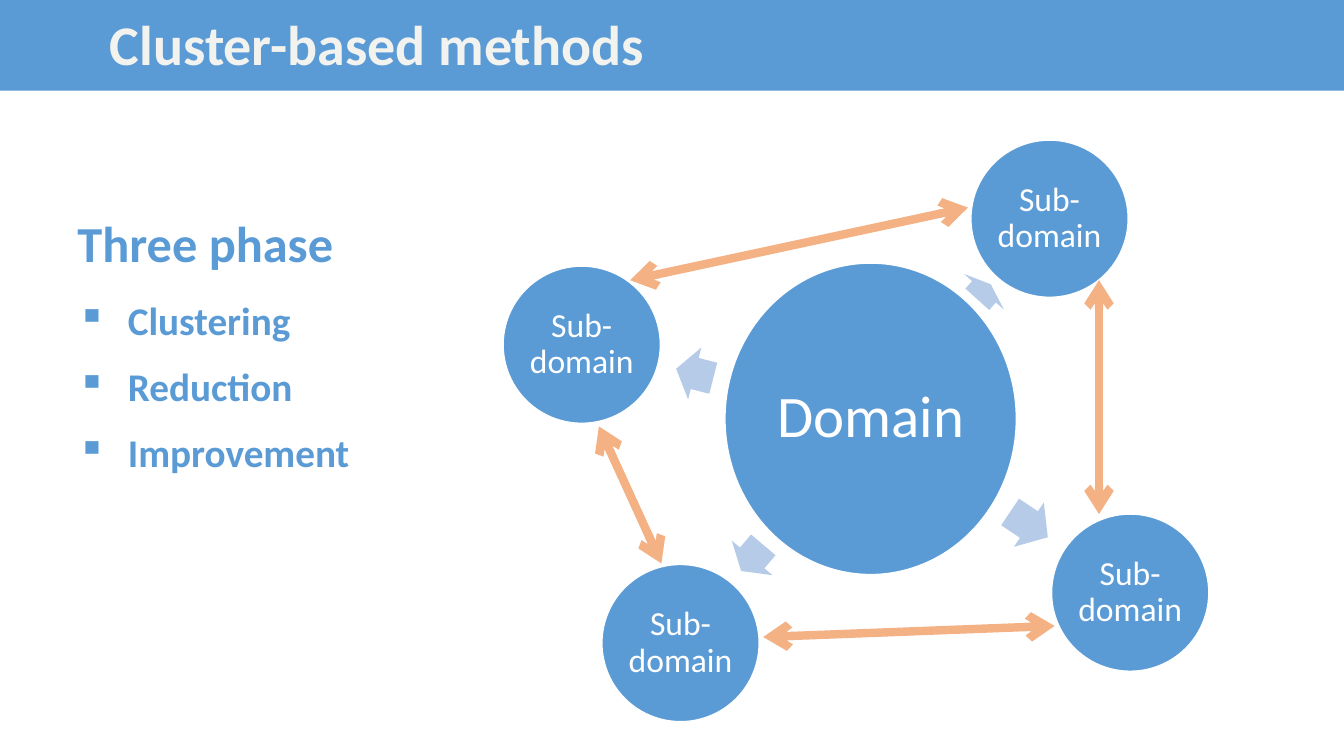
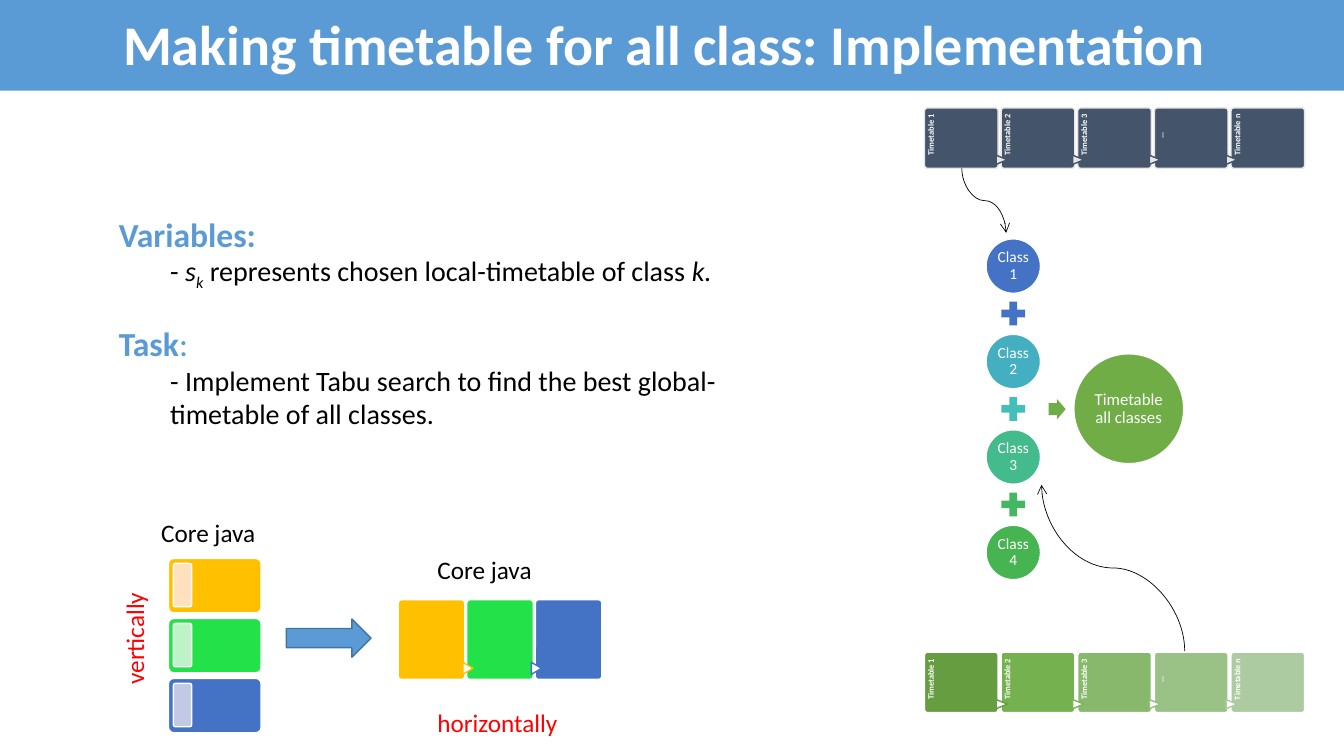
from dataclasses import dataclass

from lxml.etree import SubElement
from pptx import Presentation
from pptx.dml.color import RGBColor
from pptx.enum.shapes import MSO_CONNECTOR, MSO_SHAPE
from pptx.enum.text import MSO_ANCHOR, PP_ALIGN
from pptx.oxml.ns import qn
from pptx.util import Inches, Pt


@dataclass(frozen=True)
class Theme:
    """Colours, font and type sizes shared by the slides."""
    font: str = "Calibri"
    blue: str = "5B9BD5"
    blue_edge: str = "43739E"
    pale_blue: str = "B5CBE7"
    royal: str = "4472C4"
    amber: str = "FFC000"
    lime: str = "23E148"
    orange: str = "F4B183"
    green: str = "70AD47"
    slate: str = "44546A"
    mist: str = "E7E6E6"
    off_white: str = "F2F2EF"
    white: str = "FFFFFF"
    black: str = "000000"
    red: str = "FF0000"
    title: int = 40
    hub: int = 42
    heading: int = 36
    bullet: int = 28
    subhead: int = 24
    body: int = 20
    label: int = 18
    result: int = 12
    node: int = 11
    tiny: int = 6


THEME = Theme()


def write(paragraph, text, *, size=THEME.label, color=THEME.black, bold=False,
          italic=False, baseline=0, align=None):
    """Add one formatted run to a paragraph."""
    run = paragraph.add_run()
    run.text = text
    font = run.font
    font.name, font.size = THEME.font, Pt(size)
    font.bold, font.italic = bold, italic
    font.color.rgb = RGBColor.from_string(color)
    if baseline:
        run._r.get_or_add_rPr().set("baseline", str(baseline * 1000))
    if align is not None:
        paragraph.alignment = align


def set_insets(frame, inset):
    """Give all four sides of a text frame the same inset."""
    frame.margin_left = frame.margin_right = Inches(inset)
    frame.margin_top = frame.margin_bottom = Inches(inset)


def indent(paragraph, left, first=0):
    """Set the left and first-line indents of a paragraph."""
    properties = paragraph._p.get_or_add_pPr()
    properties.set("marL", str(Inches(left)))
    properties.set("indent", str(Inches(first)))
    return properties


def add_box(slide, left, top, width, height, *, wrap=True):
    """Add a text box and return its text frame."""
    box = slide.shapes.add_textbox(*map(Inches, (left, top, width, height)))
    box.text_frame.word_wrap = wrap
    return box.text_frame


def add_label(slide, text, left, top, width, height, *, wrap=False, **style):
    """Add a single-paragraph text box."""
    frame = add_box(slide, left, top, width, height, wrap=wrap)
    write(frame.paragraphs[0], text, **style)
    return frame


def add_figure(slide, kind, left, top, width, height, fill, *, line=None,
               rotation=0, adjust=()):
    """Add a flat preset shape, with a thin outline if a line colour is given."""
    figure = slide.shapes.add_shape(kind, *map(Inches, (left, top, width, height)))
    figure.shadow.inherit = False
    figure.fill.solid()
    figure.fill.fore_color.rgb = RGBColor.from_string(fill)
    if line:
        figure.line.color.rgb = RGBColor.from_string(line)
        figure.line.width = Pt(1)
    else:
        figure.line.fill.background()
    figure.rotation = rotation
    for index, value in enumerate(adjust):
        figure.adjustments[index] = value
    return figure


def add_title(slide, text, left, color):
    """Draw the title band with its text starting at the given distance."""
    band = add_figure(slide, MSO_SHAPE.RIGHT_ARROW, 0, -0.51, 14.71, 1.88, THEME.blue)
    frame = band.text_frame
    frame.margin_left = Inches(left)
    frame.vertical_anchor = MSO_ANCHOR.MIDDLE
    write(frame.paragraphs[0], text, size=THEME.title, color=color, bold=True,
          align=PP_ALIGN.LEFT)


def add_node(slide, text, left, top, width, height, fill, *, size, inset):
    """Draw a white-edged ellipse with centred text."""
    node = add_figure(slide, MSO_SHAPE.OVAL, left, top, width, height, fill,
                      line=THEME.white)
    frame = node.text_frame
    frame.word_wrap = True
    frame.vertical_anchor = MSO_ANCHOR.MIDDLE
    set_insets(frame, inset)
    paragraph = frame.paragraphs[0]
    paragraph.line_spacing = 0.9
    write(paragraph, text, size=size, color=THEME.white, align=PP_ALIGN.CENTER)


def add_block_arrow(slide, left, top, width, height, fill, rotation=0):
    """Draw a short block arrow."""
    add_figure(slide, MSO_SHAPE.RIGHT_ARROW, left, top, width, height, fill,
               rotation=rotation, adjust=(0.6, 0.5))


def add_link(slide, kind, start, end, color, width, ends):
    """Draw a connector with open arrowheads at the named ends."""
    link = slide.shapes.add_connector(kind, *map(Inches, (*start, *end)))
    link.line.color.rgb = RGBColor.from_string(color)
    link.line.width = Pt(width)
    outline = link.line._get_or_add_ln()
    for name in ends:
        SubElement(outline, qn(f"a:{name}")).set("type", "arrow")
    SubElement(link.element.spPr, qn("a:effectLst"))
    return link


def add_curve(slide, start, end):
    """Draw an S-curve arrow that leaves and arrives vertically."""
    (x1, y1), (x2, y2) = start, end
    middle_x, middle_y = (x1 + x2) / 2, (y1 + y2) / 2
    across, down = (y2 - y1) / 2, (x1 - x2) / 2
    curve = add_link(slide, MSO_CONNECTOR.CURVE,
                     (middle_x + across, middle_y + down),
                     (middle_x - across, middle_y - down),
                     THEME.black, 0.5, ["tailEnd"])
    curve.element.spPr.find(qn("a:xfrm")).set("rot", str(270 * 60000))


def add_tile_row(slide, left, top, tile, pitch, notch, offset, fills, notch_lines,
                 *, edge=THEME.white, labels=()):
    """Draw tiles left to right, a notch at each joint and optional side labels."""
    for index, fill in enumerate(fills):
        x = left + index * pitch
        add_figure(slide, MSO_SHAPE.ROUNDED_RECTANGLE, x, top, *tile, fill,
                   line=edge, adjust=(0.05,))
        if labels:
            add_tile_label(slide, labels[index], x, top)
        if index:
            add_figure(slide, MSO_SHAPE.FLOWCHART_EXTRACT, x + offset[0],
                       top + offset[1], *notch, edge,
                       line=notch_lines[index - 1], rotation=90)


def add_tile_label(slide, text, tile_left, tile_top):
    """Write a label that reads upwards along a tile's left edge."""
    box = slide.shapes.add_textbox(
        *map(Inches, (tile_left - 0.17, tile_top + 0.18, 0.49, 0.15)))
    box.rotation = 270
    frame = box.text_frame
    frame.word_wrap = True
    set_insets(frame, 0)
    frame.margin_top, frame.margin_right = Inches(0.02), Inches(0.03)
    paragraph = frame.paragraphs[0]
    paragraph.line_spacing = 0.9
    write(paragraph, text, size=THEME.tiny, color=THEME.white, bold=True,
          align=PP_ALIGN.CENTER)


def add_timetables(slide, top, fills, notch_lines, edge):
    """Draw one row of candidate timetables."""
    labels = ["Timetable 1", "Timetable 2", "Timetable 3", "…", "Timetable n"]
    add_tile_row(slide, 9.17, top, (0.73, 0.6), 0.76, (0.09, 0.11), (-0.04, 0.46),
                 fills, notch_lines, edge=edge, labels=labels)


def add_phases(slide):
    """List the three phases under their heading."""
    add_label(slide, "Three phase", 0.67, 2.06, 2.77, 0.71, size=THEME.heading,
              color=THEME.blue, bold=True)
    frame = add_box(slide, 0.67, 2.89, 3.08, 1.89)
    for index, phase in enumerate(["Clustering", "Reduction", "Improvement"]):
        paragraph = frame.add_paragraph() if index else frame.paragraphs[0]
        paragraph.space_before = Pt(13.5 if index else 0)
        properties = indent(paragraph, 0.5, -0.5)
        SubElement(properties, qn("a:buChar")).set("char", "▪")
        write(paragraph, phase, size=THEME.bullet, color=THEME.blue, bold=True)


def add_domain_map(slide):
    """Draw the domain, its sub-domains and the arrows among them."""
    add_node(slide, "Domain", 7.19, 2.61, 2.89, 3.09, THEME.blue,
             size=THEME.hub, inset=0.06)
    for left, top in [(9.63, 1.39), (10.43, 5.1), (5.97, 5.6), (4.99, 2.64)]:
        add_node(slide, "Sub-domain", left, top, 1.56, 1.56, THEME.blue,
                 size=THEME.subhead, inset=0.03)
    for left, top, width, angle in [(9.66, 2.63, 0.2, 311.9), (9.98, 4.94, 0.45, 33.9),
                                    (7.29, 5.27, 0.34, 130.3), (6.7, 3.44, 0.38, 194.3)]:
        add_block_arrow(slide, left, top, width, 0.53, THEME.pale_blue, angle)
    for start, end in [((6.25, 2.78), (9.6, 2.06)), ((5.94, 4.23), (6.56, 5.59)),
                       ((10.9, 2.78), (10.9, 5.1)), ((7.57, 6.32), (10.46, 6.21))]:
        add_link(slide, MSO_CONNECTOR.STRAIGHT, start, end, THEME.orange, 6,
                 ["headEnd", "tailEnd"])


def add_task_text(slide):
    """Write the variables and the task."""
    frame = add_box(slide, 1.08, 2.07, 6.81, 2.22)
    heading = {"size": THEME.subhead, "color": THEME.blue}
    write(frame.paragraphs[0], "Variables:", bold=True, **heading)
    variable = frame.add_paragraph()
    indent(variable, 0.51)
    for text, style in [("- ", {}), ("s", {"italic": True}),
                        ("k", {"italic": True, "baseline": -25}),
                        (" represents chosen local-timetable of class ", {}),
                        ("k.", {"italic": True})]:
        write(variable, text, size=THEME.body, **style)
    task = frame.add_paragraph()
    task.space_before = Pt(22)
    write(task, "Task", bold=True, **heading)
    write(task, ":", **heading)
    goal = frame.add_paragraph()
    indent(goal, 0.51)
    write(goal, "- Implement Tabu search to find the best global-timetable of all classes.",
          size=THEME.body)


def add_core_java(slide):
    """Show the vertical stack turning into a horizontal row."""
    colors = [THEME.amber, THEME.lime, THEME.royal]
    for index, (fill, tint) in enumerate(zip(colors, ["FFE2BD", "BDF3C6", "C1CAE4"])):
        top = 5.54 + index * 0.595
        for x, y, width, height, color in [(1.67, top, 0.92, 0.54, fill),
                                           (1.72, top + 0.05, 0.18, 0.43, tint)]:
            add_figure(slide, MSO_SHAPE.ROUNDED_RECTANGLE, x, y, width, height, color,
                       line=THEME.white, adjust=(0.1,))
    add_tile_row(slide, 3.95, 5.95, (0.66, 0.79), 0.68, (0.12, 0.1), (-0.05, 0.63),
                 colors, [THEME.amber, THEME.royal])
    add_figure(slide, MSO_SHAPE.RIGHT_ARROW, 2.84, 6.14, 0.84, 0.38, THEME.blue,
               line=THEME.blue_edge)
    for left, top in [(1.5, 5.08), (4.24, 5.45)]:
        add_label(slide, "Core java", left, top, 1.15, 0.4)
    add_label(slide, "horizontally", 4.24, 6.97, 1.49, 0.4, wrap=True, color=THEME.red)
    upright = add_label(slide, "vertically", 1.13, 5.69, 0.5, 1.29, wrap=True,
                        color=THEME.red, align=PP_ALIGN.CENTER)
    upright._txBody.bodyPr.set("vert", "vert270")


def add_class_sum(slide):
    """Draw the classes added up into the timetable of all classes."""
    pitch = 0.947
    for index, fill in enumerate([THEME.royal, "43AFC0", "43BB8D", "45B451"]):
        add_node(slide, f"Class {index + 1}", 9.78, 2.37 + index * pitch, 0.54, 0.54,
                 fill, size=THEME.node, inset=0.02)
    for index, fill in enumerate([THEME.royal, "43BEB9", "45B664"]):
        add_figure(slide, MSO_SHAPE.MATH_PLUS, 9.89, 2.95 + index * pitch, 0.32, 0.32,
                   fill)
    add_block_arrow(slide, 10.4, 3.96, 0.17, 0.2, THEME.green)
    add_node(slide, "Timetable all classes", 10.65, 3.51, 1.09, 1.09, THEME.green,
             size=THEME.result, inset=0.02)


def build_cluster_slide(slide):
    """Build the slide on cluster-based methods."""
    add_title(slide, "Cluster-based methods", 1.09, THEME.off_white)
    add_domain_map(slide)
    add_phases(slide)


def build_timetable_slide(slide):
    """Build the slide on the timetable for all classes."""
    add_title(slide, "Making timetable for all class: Implementation", 1.22, THEME.white)
    add_task_text(slide)
    add_core_java(slide)
    add_class_sum(slide)
    add_timetables(slide, 1.07, [THEME.slate] * 5, [THEME.slate] * 4, THEME.mist)
    add_curve(slide, (9.54, 1.67), (9.98, 2.31))
    add_timetables(slide, 6.47, ["669D40", "75B14F", "87B86B", "9AC186", "ADCBA0"],
                   ["669D40", "7BB459", "94BE7D", "ADCBA0"], THEME.white)
    add_curve(slide, (11.75, 6.46), (10.33, 4.81))


def main():
    """Build both slides and save the presentation."""
    deck = Presentation()
    deck.slide_width, deck.slide_height = Inches(13.33), Inches(7.5)
    blank = deck.slide_layouts[6]
    for build in (build_cluster_slide, build_timetable_slide):
        build(deck.slides.add_slide(blank))
    deck.save("out.pptx")


main()
